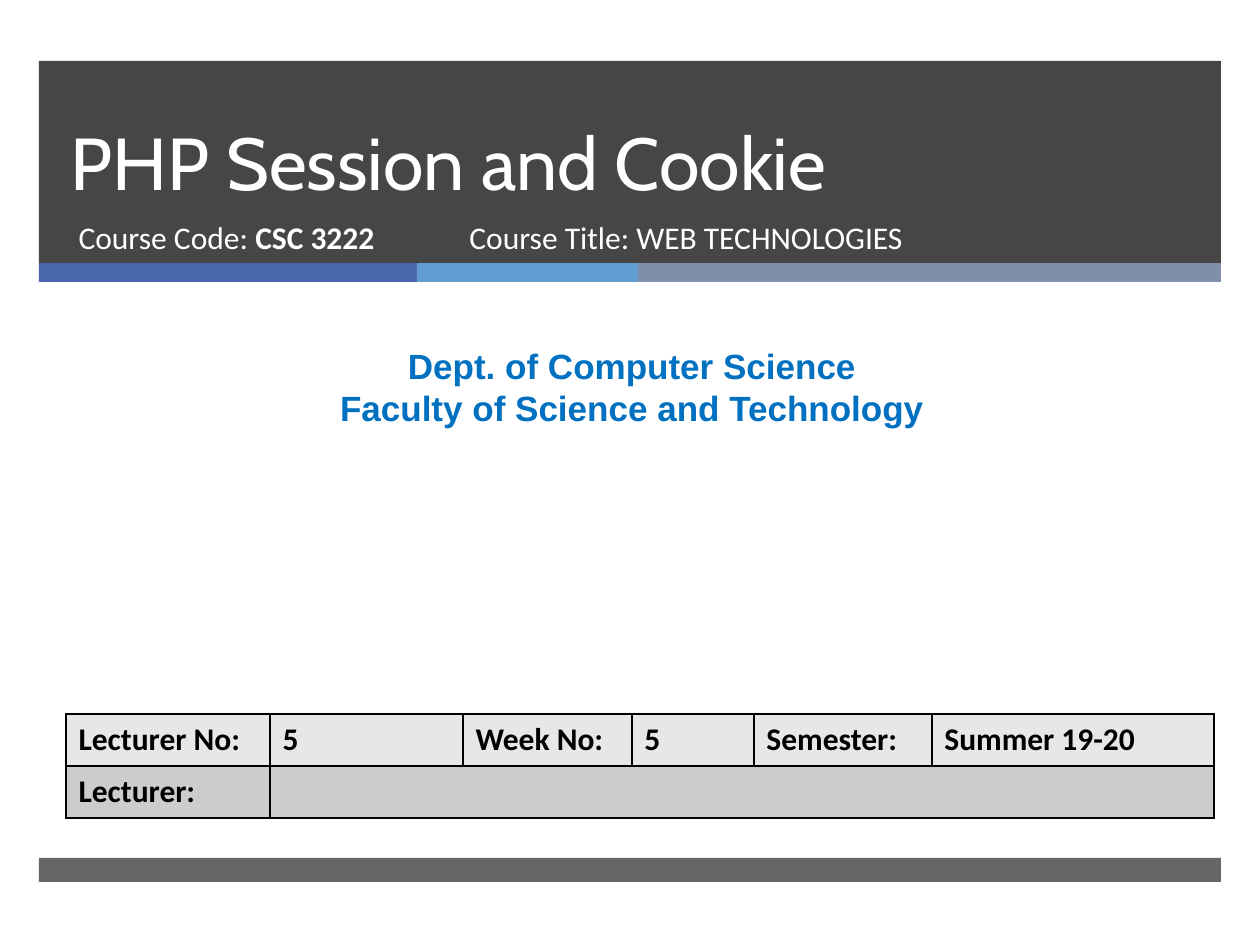
import pptx
import pptx.util
import pptx.dml.color
import pptx.enum.shapes
import pptx.enum.text
import pptx.oxml
import pptx.oxml.ns

Pt = pptx.util.Pt
ALIGN = pptx.enum.text.PP_ALIGN
ANCHOR = pptx.enum.text.MSO_ANCHOR
NS = pptx.oxml.ns.nsdecls("a")


def px(n):
    return round(n * 914400 / 126)


def paint(fmt, color):
    fmt.solid()
    fmt.fore_color.rgb = pptx.dml.color.RGBColor.from_string(color)


def write(frame, *lines, font="Calibri", size=18, color="FFFFFF", bold=False,
          align=ALIGN.LEFT, anchor=ANCHOR.TOP, lead=None):
    """Each line is a list of (text, bold) runs or a plain string."""
    frame.word_wrap = True
    frame.auto_size = pptx.enum.text.MSO_AUTO_SIZE.NONE
    frame.vertical_anchor = anchor
    for i, line in enumerate(lines):
        para = frame.add_paragraph() if i else frame.paragraphs[0]
        para.alignment = align
        para.space_before = Pt(0)
        if lead:
            para.line_spacing = Pt(lead)
        for text, heavy in [(line, bold)] if isinstance(line, str) else line:
            run = para.add_run()
            run.text = text
            run.font.name, run.font.size, run.font.bold = font, Pt(size), heavy
            paint(run.font.fill, color)


class Deck:
    dark = "262626"
    link = "0070C0"
    ink = "000000"

    def __init__(self, wide, high):
        self.prs = pptx.Presentation()
        self.prs.slide_width, self.prs.slide_height = px(wide), px(high)
        self.slide = self.prs.slides.add_slide(self.prs.slide_layouts[0])
        self.shapes = self.slide.shapes

    def bar(self, x, y, w, h, color, alpha=None):
        bar = self.shapes.add_shape(pptx.enum.shapes.MSO_SHAPE.RECTANGLE,
                                    px(x), px(y), px(w), px(h))
        bar.shadow.inherit = False
        paint(bar.fill, color)
        bar.line.fill.background()
        if alpha:
            tint = bar._element.spPr.find(".//" + pptx.oxml.ns.qn("a:srgbClr"))
            tint.append(pptx.oxml.parse_xml(
                f'<a:alpha {NS} val="{alpha * 1000}"/>'))

    def holder(self, idx, x, y, w, h, *lines, **style):
        box = self.slide.placeholders[idx]
        box.left, box.top, box.width, box.height = map(px, (x, y, w, h))
        self.shapes._spTree.append(box._element)  # bring to front
        write(box.text_frame, *lines, **style)

    def text(self, x, y, w, h, *lines, **style):
        box = self.shapes.add_textbox(px(x), px(y), px(w), px(h))
        write(box.text_frame, *lines, **style)

    def edge(self, cell):
        props = cell._tc.get_or_add_tcPr()
        for i, side in enumerate("LRTB"):
            props.insert(i, pptx.oxml.parse_xml(
                f'<a:ln{side} {NS} w="12700"><a:solidFill>'
                f'<a:srgbClr val="{self.ink}"/></a:solidFill></a:ln{side}>'))

    def table(self, x, y, cols, high, rows, fills):
        grid = self.shapes.add_table(len(rows), len(cols), px(x), px(y),
                                     px(sum(cols)), px(high * len(rows))).table
        for col, wide in zip(grid.columns, cols):
            col.width = px(wide)
        for r, (row, fill) in enumerate(zip(rows, fills)):
            grid.rows[r].height = px(high)
            for c in range(len(cols)):
                cell = grid.cell(r, c)
                paint(cell.fill, fill)
                self.edge(cell)
                if c < len(row):
                    write(cell.text_frame, row[c], color=self.ink, bold=True)
            if len(row) < len(cols):
                grid.cell(r, len(row)).merge(grid.cell(r, len(cols) - 1))


deck = Deck(1260, 945)

# Header band, colour strip and footer band
deck.bar(39, 61, 1182, 202, deck.dark, alpha=85)
left = 39
for wide, color in (378, "4A66AC"), (221, "629DD1"), (583, "7F8FA9"):
    deck.bar(left, 263, wide, 19, color)
    left += wide
deck.bar(39, 858, 1182, 24, deck.dark, alpha=70)

# Title and course line
deck.holder(0, 58, 62, 1076, 150, "PHP Session and Cookie",
            font="Cabin", size=42, anchor=ANCHOR.BOTTOM, lead=46)
deck.holder(1, 66, 212, 384, 67, [("Course Code: ", False), ("CSC 3222", True)])
deck.text(457, 212, 573, 67, "Course Title: WEB TECHNOLOGIES")

# Department
deck.text(10, 338, 1244, 97, "Dept. of Computer Science",
          "Faculty of Science and Technology", font="Arial", size=20,
          color=deck.link, bold=True, align=ALIGN.CENTER)

# Lecture details
deck.table(66, 714, [204, 193, 169, 122, 178, 282], 52,
           [["Lecturer No:", "5", "Week No:", "5", "Semester:", "Summer 19-20"],
            ["Lecturer:"]],
           ["E7E7E7", "CCCCCC"])

deck.prs.save("out.pptx")
